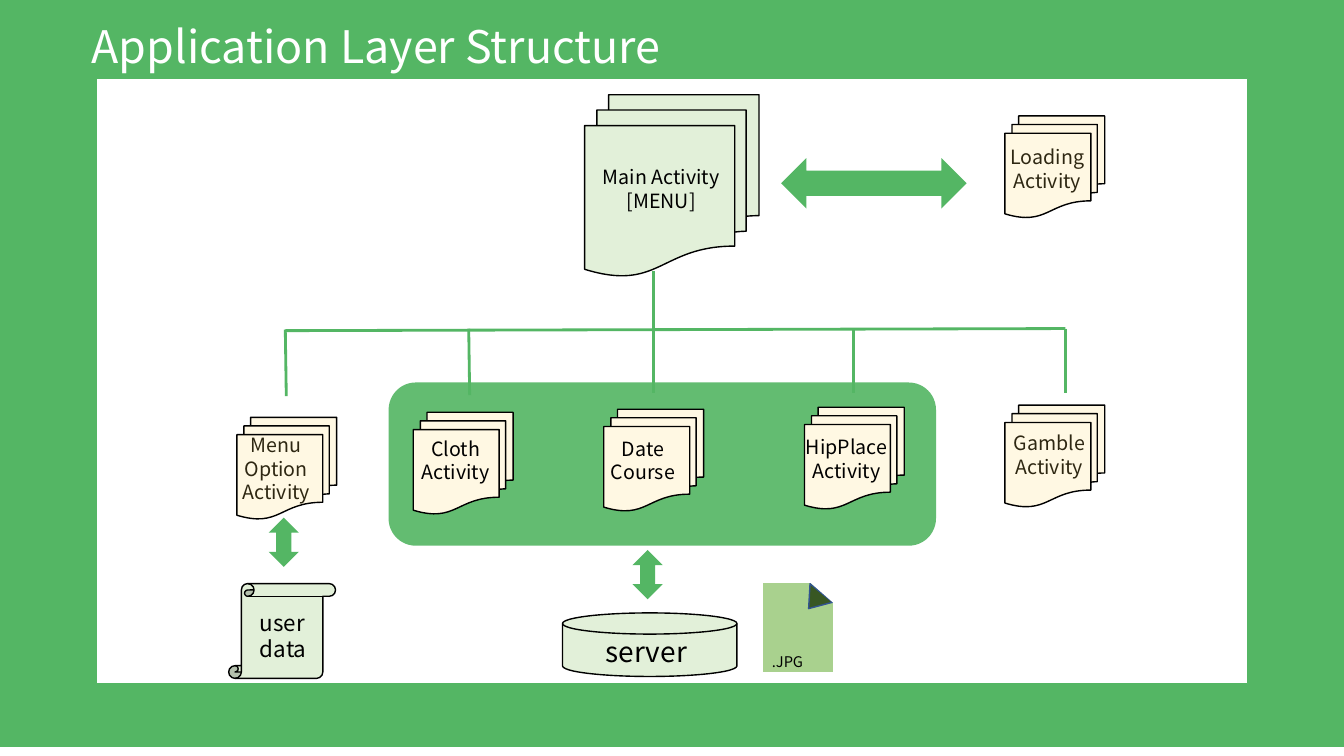
"""Build the application layer structure slide."""
import pptx
import pptx.dml.color
import pptx.enum.shapes
import pptx.enum.text
import pptx.oxml.ns
import pptx.util
from lxml import etree

Pt = pptx.util.Pt
RGBColor = pptx.dml.color.RGBColor
SHAPE = pptx.enum.shapes.MSO_SHAPE
ALIGN = pptx.enum.text.PP_ALIGN
qn = pptx.oxml.ns.qn

GREEN = RGBColor(0x54, 0xB6, 0x64)
WHITE = RGBColor(0xFF, 0xFF, 0xFF)
BLACK = RGBColor(0x00, 0x00, 0x00)
PALE_GREEN = RGBColor(0xE2, 0xF0, 0xD9)
LEAF = RGBColor(0xA9, 0xD1, 0x8E)
DARK_GREEN = RGBColor(0x38, 0x57, 0x23)
BLUE = RGBColor(0x32, 0x54, 0x91)
GOLD = RGBColor(0xFF, 0xD9, 0x66)
CREAM = RGBColor(0xFF, 0xF8, 0xE3)


class Deck:
    """Hold the presentation, its font and the current slide."""

    font = "Noto Sans CJK KR"

    def __init__(self):
        """Start a widescreen deck with one title-only slide."""
        self.prs = pptx.Presentation()
        self.prs.slide_width, self.prs.slide_height = Pt(960), Pt(540)
        self.s = self.prs.slides.add_slide(self.prs.slide_layouts[5])

    def set_text(self, sp, lines, size, color, align):
        """Fill a shape with one paragraph per line."""
        tf = sp.text_frame
        tf.word_wrap = True
        tf.vertical_anchor = pptx.enum.text.MSO_ANCHOR.TOP
        tf.text = "\n".join(lines)
        for p in tf.paragraphs:
            p.alignment = align
            p.font.name, p.font.size = self.font, Pt(size)
            p.font.color.rgb = color

    def title(self, x, y, w, h, text):
        """Place the title in front of the shapes drawn so far."""
        sp = self.s.shapes.title
        sp.left, sp.top, sp.width, sp.height = map(Pt, (x, y, w, h))
        sp.element.getparent().append(sp.element)
        self.set_text(sp, [text], 32, WHITE, ALIGN.LEFT)

    def text(self, x, y, w, h, lines, size=14, align=ALIGN.CENTER):
        """Add a text box."""
        sp = self.s.shapes.add_textbox(*map(Pt, (x, y, w, h)))
        self.set_text(sp, lines, size, BLACK, align)

    def shape(self, kind, x, y, w, h, fill, line=None, adj=(), alpha=None, rotation=0):
        """Add a preset shape."""
        sp = self.s.shapes.add_shape(kind, *map(Pt, (x, y, w, h)))
        sp.shadow.inherit = False
        sp.rotation = rotation
        for i, value in enumerate(adj):
            sp.adjustments[i] = value
        sp.fill.solid()
        sp.fill.fore_color.rgb = fill
        if alpha:
            clr = sp.element.spPr.find(qn("a:solidFill")).find(qn("a:srgbClr"))
            etree.SubElement(clr, qn("a:alpha")).set("val", str(alpha * 1000))
        if line is None:
            sp.line.fill.background()
        else:
            sp.line.color.rgb, sp.line.width = line, Pt(1)

    def line(self, x1, y1, x2, y2):
        """Add a straight green line."""
        sp = self.s.shapes.add_connector(
            pptx.enum.shapes.MSO_CONNECTOR.STRAIGHT, *map(Pt, (x1, y1, x2, y2)))
        sp.line.color.rgb, sp.line.width = GREEN, Pt(2)
        etree.SubElement(sp.element.spPr, qn("a:effectLst"))

    def activity(self, x, y, text_x, text_y, lines, tinted):
        """Add a page stack, with a tint over its label or solid under it."""
        label = (text_x, text_y, 109.4, 17 * len(lines) + 7, lines)
        stack = (SHAPE.FLOWCHART_MULTIDOCUMENT, x, y, 71.3, 72.7)
        if tinted:
            self.text(*label)
            self.shape(*stack, GOLD, BLACK, alpha=18)
        else:
            self.shape(*stack, CREAM, BLACK)
            self.text(*label)


def main():
    """Draw the slide and save it."""
    d = Deck()
    d.shape(SHAPE.RECTANGLE, 0, -7.2, 960, 540, GREEN, GREEN)
    d.shape(SHAPE.RECTANGLE, 69.1, 56.2, 822.2, 432, WHITE, GREEN)
    d.title(58.3, 10.1, 453.6, 46.1, "Application Layer Structure")
    d.shape(SHAPE.ROUNDED_RECTANGLE, 277.6, 273.2, 391, 116.6, GREEN, adj=[0.167], alpha=91)

    d.shape(SHAPE.FLOWCHART_MULTIDOCUMENT, 417.6, 67.7, 124.6, 129.6, PALE_GREEN, BLACK)
    d.text(417.6, 114.5, 109.4, 41, ["Main Activity\v[MENU]"])
    d.activity(717.8, 82.8, 693.4, 100.1, ["Loading", "Activity"], True)
    d.shape(SHAPE.LEFT_RIGHT_ARROW, 558, 113, 132.5, 36, GREEN)

    d.line(466.6, 193.7, 466.6, 280.8)
    d.line(761, 234.7, 203.8, 236.2)
    for x, top, foot_x, foot in [(203.8, 235.4, 204.5, 283), (334.8, 234.7, 335.5, 282.2),
                                 (609.8, 235.4, 609.8, 280.8), (761, 234.7, 761, 280.8)]:
        d.line(x, top, foot_x, foot)

    d.shape(SHAPE.FLOWCHART_MAGNETIC_DISK, 401.8, 437.8, 124.6, 45.4, PALE_GREEN, BLACK)
    d.text(425.5, 450, 107.3, 31.7, ["server"], 20, ALIGN.LEFT)
    d.shape(SHAPE.VERTICAL_SCROLL, 163.4, 416.9, 76.3, 67.7, PALE_GREEN, BLACK, adj=[0.134])
    d.text(178.6, 431.3, 72.7, 46.1, ["user data"], 16, ALIGN.LEFT)

    d.shape(SHAPE.FLOWCHART_PROCESS, 545, 416.2, 49.7, 64.1, LEAF)
    d.shape(SHAPE.ISOSCELES_TRIANGLE, 571.7, 421.9, 20.9, 14.4, DARK_GREEN, BLUE, rotation=219.2)
    d.shape(SHAPE.ISOSCELES_TRIANGLE, 581, 411.1, 22.3, 14.4, WHITE, rotation=41.3)
    d.text(544.3, 463, 43.2, 16.6, [".JPG"], 10.5, ALIGN.LEFT)

    for x, y, text_x, text_y, lines, tinted in [
            (169.2, 298.1, 142.6, 306, ["Menu", "Option", "Activity"], True),
            (295.2, 294.5, 270.7, 308.2, ["Cloth", "Activity"], False),
            (431.3, 292.3, 404.6, 308.2, ["Date", "Course"], False),
            (574.6, 290.9, 550.1, 307.4, ["HipPlace", "Activity"], False),
            (717.8, 289.4, 694.8, 304.6, ["Gamble", "Activity"], True)]:
        d.activity(x, y, text_x, text_y, lines, tinted)

    for x, y, shaft in [(191.9, 369.7, 0.5), (451.8, 392.8, 0.43)]:
        d.shape(SHAPE.UP_DOWN_ARROW, x, y, 21.6, 35.3, GREEN, adj=[shaft, 0.5])
    d.prs.save("out.pptx")


if __name__ == "__main__":
    main()
